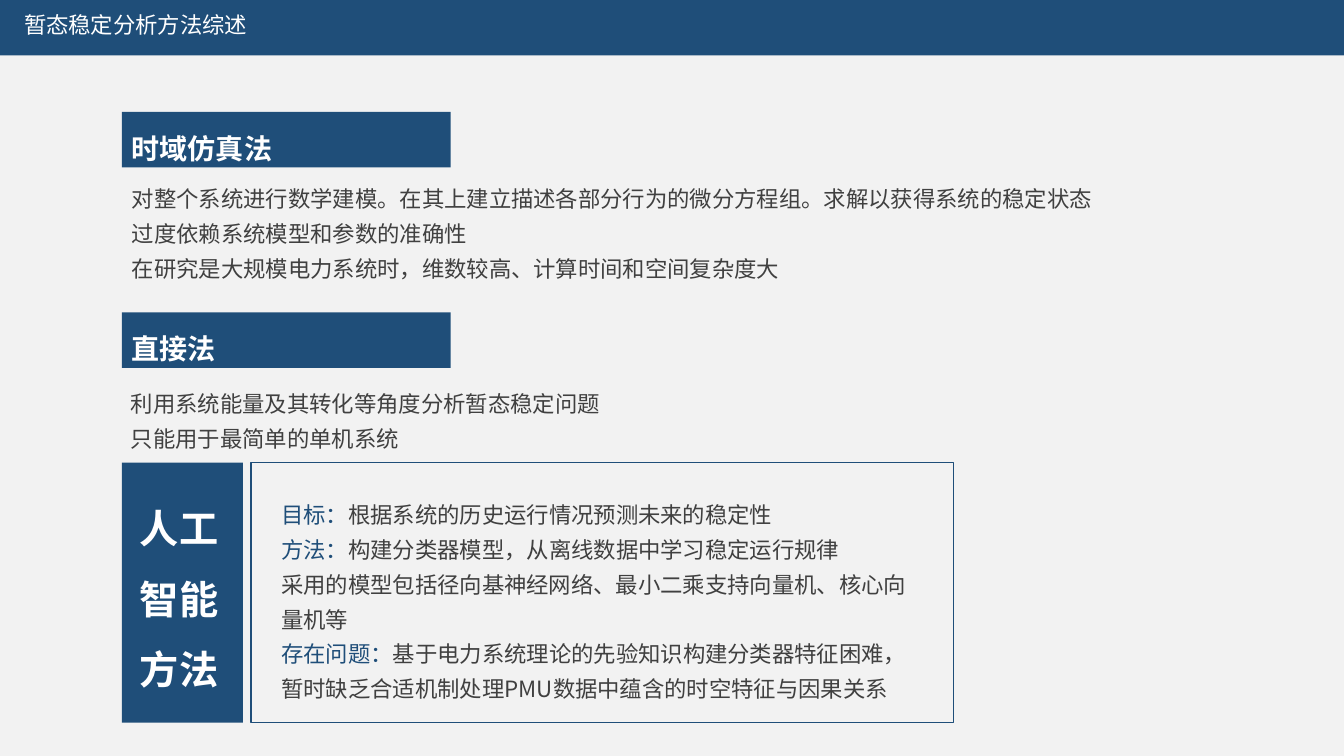
from lxml import etree
from pptx import Presentation
from pptx.dml.color import RGBColor
from pptx.enum.shapes import MSO_SHAPE
from pptx.enum.text import MSO_ANCHOR, PP_ALIGN
from pptx.oxml.ns import qn
from pptx.util import Inches, Pt

RECTANGLE = MSO_SHAPE.RECTANGLE
TOP, MIDDLE = MSO_ANCHOR.TOP, MSO_ANCHOR.MIDDLE
LEFT = PP_ALIGN.LEFT
NAVY = RGBColor(0x1F, 0x4E, 0x79)
GREY = RGBColor(0x40, 0x40, 0x40)
WHITE = RGBColor(0xFF, 0xFF, 0xFF)
PAPER = RGBColor(0xF2, 0xF2, 0xF2)
FONT = "Noto Sans CJK SC"

TITLE = "暂态稳定分析方法综述"
METHODS = [
    ("时域仿真法", 1.11, (1.21, 1.71, 10.62, 1.15), [
        "对整个系统进行数学建模。在其上建立描述各部分行为的微分方程组。求解以获得系统的稳定状态",
        "过度依赖系统模型和参数的准确性",
        "在研究是大规模电力系统时，维数较高、计算时间和空间复杂度大",
    ]),
    ("直接法", 3.1, (1.2, 3.74, 10.62, 0.77), [
        "利用系统能量及其转化等角度分析暂态稳定问题",
        "只能用于最简单的单机系统",
    ]),
]
AI_HEADING = "人工智能方法"
AI_POINTS = [
    ("目标：", "根据系统的历史运行情况预测未来的稳定性"),
    ("方法：", "构建分类器模型，从离线数据中学习稳定运行规律"),
    ("", "采用的模型包括径向基神经网络、最小二乘支持向量机、核心向量机等"),
    ("存在问题：", "基于电力系统理论的先验知识构建分类器特征困难，"
                  "暂时缺乏合适机制处理PMU数据中蕴含的时空特征与因果关系"),
]
MARGIN, BAR_HEIGHT = 1.21, 0.55
AI_TOP, AI_HEIGHT = 4.59, 2.58


def add_rectangle(page, area, fill=None, line=None):
    box = page.shapes.add_shape(RECTANGLE, *map(Inches, area))
    box.shadow.inherit = False
    if fill is None:
        box.fill.background()
    else:
        box.fill.solid()
        box.fill.fore_color.rgb = fill
    if line is None:
        box.line.fill.background()
    else:
        box.line.color.rgb = line
        box.line.width = Pt(1)
    return box


def add_text_box(page, area):
    return page.shapes.add_textbox(*map(Inches, area))


def write(box, paragraphs, size, spacing, bold=False, anchor=TOP):
    frame = box.text_frame
    frame.word_wrap = True
    frame.vertical_anchor = anchor
    for index, spans in enumerate(paragraphs):
        para = frame.add_paragraph() if index else frame.paragraphs[0]
        para.alignment = LEFT
        para.line_spacing = spacing
        for text, color in spans:
            span = para.add_run()
            span.text = text
            span.font.size = Pt(size)
            span.font.bold = bold
            span.font.color.rgb = color
            span.font.name = FONT
            east_asian = etree.SubElement(span.font._element, qn("a:ea"))
            east_asian.set("typeface", FONT)


def main():
    deck = Presentation()
    deck.slide_width, deck.slide_height = Inches(13.33), Inches(7.5)
    page = deck.slides.add_slide(deck.slide_layouts[6])
    page.background.fill.solid()
    page.background.fill.fore_color.rgb = PAPER

    add_rectangle(page, (0, 0, 13.33, BAR_HEIGHT), NAVY)
    title = add_text_box(page, (0.14, 0.09, 13.07, 0.33))
    write(title, [[(TITLE, WHITE)]], 16, 0.9)

    for heading, top, body_area, lines in METHODS:
        bar = add_rectangle(page, (MARGIN, top, 3.26, BAR_HEIGHT), NAVY)
        write(bar, [[(heading, WHITE)]], 20, 1.5, True, MIDDLE)
        body = add_text_box(page, body_area)
        write(body, [[(line, GREY)] for line in lines], 16, 1.3)

    add_rectangle(page, (MARGIN, AI_TOP, 1.2, AI_HEIGHT), NAVY)
    ai_heading = add_text_box(page, (1.29, 4.72, 1.04, 2.4))
    write(ai_heading, [[(AI_HEADING, WHITE)]], 28, 1.5, True)

    add_rectangle(page, (2.49, AI_TOP, 6.97, AI_HEIGHT), line=NAVY)
    ai_body = add_text_box(page, (2.69, 4.84, 6.56, 2.11))
    points = [[(text, color) for text, color in ((label, NAVY), (detail, GREY)) if text]
              for label, detail in AI_POINTS]
    write(ai_body, points, 16, 1.3)

    deck.save("out.pptx")


if __name__ == "__main__":
    main()
